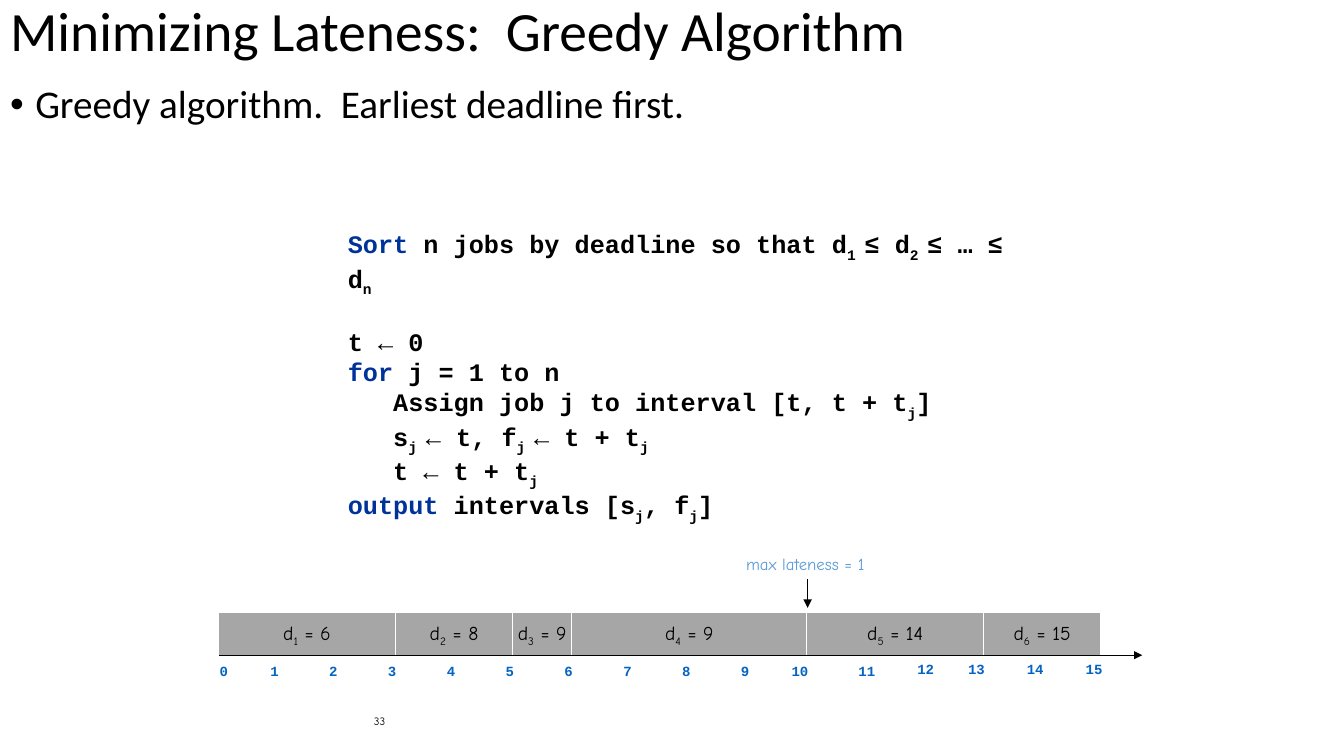
import dataclasses

import pptx
import pptx.dml.color
import pptx.enum.shapes
import pptx.enum.text
import pptx.oxml
import pptx.oxml.ns
import pptx.util

Inches = pptx.util.Inches
Align = pptx.enum.text.PP_ALIGN
Anchor = pptx.enum.text.MSO_ANCHOR
DRAWING = pptx.oxml.ns.nsdecls("a")


@dataclasses.dataclass(frozen=True)
class Theme:
    black: str = "000000"
    white: str = "FFFFFF"
    job: str = "A6A6A6"
    tick: str = "0563C1"
    note: str = "5B9BD5"
    keyword: str = "003399"
    heading_font: str = "Calibri"
    label_font: str = "Comic Neue"
    code_font: str = "Courier New"
    title_size: float = 39.6
    body_size: float = 28
    code_size: float = 18
    job_size: float = 14
    note_size: float = 12
    tick_size: float = 10
    number_size: float = 8
    line_width: float = 0.75


class SlideBuilder:
    def __init__(self, slide, theme):
        self.slide = slide
        self.theme = theme

    def color(self, value):
        return pptx.dml.color.RGBColor.from_string(value)

    def place(self, shape, box):
        for name, value in zip(("left", "top", "width", "height"), box):
            setattr(shape, name, Inches(value))

    def frame(self, shape, anchor=Anchor.TOP, wrap=True, margins=(0.1, 0.05, 0.1, 0.05)):
        text_frame = shape.text_frame
        settings = {"word_wrap": wrap, "vertical_anchor": anchor,
                    "auto_size": pptx.enum.text.MSO_AUTO_SIZE.NONE}
        for side, value in zip(("left", "top", "right", "bottom"), margins):
            settings["margin_" + side] = Inches(value)
        for name, value in settings.items():
            setattr(text_frame, name, value)
        return text_frame

    def run(self, paragraph, text, font, size, color, bold=False, subscript=False):
        run = paragraph.add_run()
        run.text = text
        for name, value in {"name": font, "size": pptx.util.Pt(size), "bold": bold}.items():
            setattr(run.font, name, value)
        run.font.color.rgb = self.color(color)
        if subscript:
            run._r.get_or_add_rPr().set("baseline", "-25000")

    def subscripted(self, paragraph, text, *style):
        for index, piece in enumerate(text.split("|")):
            if piece:
                self.run(paragraph, piece, *style, subscript=index % 2 == 1)

    def placeholder(self, index, box, text, size, anchor, bullet=False):
        shape = self.slide.placeholders[index]
        self.place(shape, box)
        paragraph = self.frame(shape, anchor).paragraphs[0]
        if bullet:
            properties = paragraph._p.get_or_add_pPr()
            properties.set("marL", str(Inches(0.25)))
            properties.set("indent", str(Inches(-0.25)))
            properties.append(pptx.oxml.parse_xml(f'<a:buChar {DRAWING} char="•"/>'))
        settings = {"alignment": Align.LEFT, "line_spacing": 0.9,
                    "space_before": pptx.util.Pt(0)}
        for name, value in settings.items():
            setattr(paragraph, name, value)
        self.run(paragraph, text, self.theme.heading_font, size, self.theme.black)

    def label(self, box, text, font, size, color, bold=False, alignment=Align.LEFT, **layout):
        shape = self.slide.shapes.add_textbox(*map(Inches, box))
        paragraph = self.frame(shape, **layout).paragraphs[0]
        paragraph.alignment = alignment
        self.run(paragraph, text, font, size, color, bold)

    def rectangle(self, box, fill, outline=None):
        shape = self.slide.shapes.add_shape(
            pptx.enum.shapes.MSO_SHAPE.RECTANGLE, *map(Inches, box))
        shape.shadow.inherit = False
        shape.fill.solid()
        shape.fill.fore_color.rgb = self.color(fill)
        if outline:
            shape.line.color.rgb = self.color(outline)
            shape.line.width = pptx.util.Pt(self.theme.line_width)
        else:
            shape.line.fill.background()
        return shape

    def job(self, box, text):
        theme = self.theme
        shape = self.rectangle(box, theme.job, theme.white)
        paragraph = self.frame(shape, Anchor.MIDDLE, wrap=False).paragraphs[0]
        paragraph.alignment = Align.CENTER
        self.subscripted(paragraph, text, theme.label_font, theme.job_size, theme.black)

    def code(self, box, lines):
        theme = self.theme
        shape = self.rectangle(box, theme.white)
        text_frame = self.frame(shape, margins=(0.2, 0.1, 0.15, 0.1))
        style = (theme.code_font, theme.code_size)
        for index, (keyword, text, gap) in enumerate(lines):
            paragraph = text_frame.add_paragraph() if index else text_frame.paragraphs[0]
            paragraph.alignment = Align.LEFT
            paragraph.space_before = pptx.util.Pt(gap)
            if keyword:
                self.run(paragraph, keyword, *style, theme.keyword, True)
            self.subscripted(paragraph, text, *style, theme.black, True)

    def arrow(self, *ends):
        connector = self.slide.shapes.add_connector(
            pptx.enum.shapes.MSO_CONNECTOR.STRAIGHT, *map(Inches, ends))
        connector.line.color.rgb = self.color(self.theme.black)
        connector.line.width = pptx.util.Pt(self.theme.line_width)
        connector.line._get_or_add_ln().append(
            pptx.oxml.parse_xml(f'<a:tailEnd {DRAWING} type="triangle"/>'))
        connector._element.spPr.append(pptx.oxml.parse_xml(f"<a:effectLst {DRAWING}/>"))


CODE_LINES = [
    ("Sort", " n jobs by deadline so that d|1 |≤ d|2 |≤ … ≤ d|n|", 0),
    ("", "t ← 0", 20.4),
    ("for", " j = 1 to n", 0),
    ("", "   Assign job j to interval [t, t + t|j|]", 0),
    ("", "   s|j |← t, f|j |← t + t|j|", 0),
    ("", "   t ← t + t|j|", 0),
    ("output", " intervals [s|j|, f|j|]", 0),
]
JOBS = [(3, 6), (2, 8), (1, 9), (4, 9), (3, 14), (2, 15)]
AXIS_LEFT, AXIS_TOP, TIME_UNIT = 2.17, 6.5, 7 / 12
JOB_HEIGHT = 0.42
TICK_SHIFTS = {0: 0.08, 10: -0.08, 13: -0.08, 14: -0.08, 15: -0.08}


def main():
    presentation = pptx.Presentation()
    presentation.slide_width = Inches(13.33)
    presentation.slide_height = Inches(7.5)
    theme = Theme()
    builder = SlideBuilder(
        presentation.slides.add_slide(presentation.slide_layouts[1]), theme)

    builder.placeholder(0, (0, 0.06, 11.5, 0.54), "Minimizing Lateness:  Greedy Algorithm",
                        theme.title_size, Anchor.MIDDLE)
    builder.placeholder(1, (0, 0.79, 13.33, 6.63), "Greedy algorithm.  Earliest deadline first.",
                        theme.body_size, Anchor.TOP, bullet=True)
    builder.code((3.25, 2.17, 6.92, 2.93), CODE_LINES)

    start = 0
    for number, (duration, deadline) in enumerate(JOBS, 1):
        box = (AXIS_LEFT + start * TIME_UNIT, AXIS_TOP - JOB_HEIGHT,
               duration * TIME_UNIT, JOB_HEIGHT)
        builder.job(box, f"d|{number}| = {deadline}")
        start += duration

    for time in range(start + 1):
        left = AXIS_LEFT - 0.17 + time * TIME_UNIT + TICK_SHIFTS.get(time, 0)
        top = AXIS_TOP + (0.02 if time < 12 else 0)
        builder.label((left, top, 0.5, 0.27), str(time),
                      theme.code_font, theme.tick_size, theme.tick, bold=True)

    builder.arrow(AXIS_LEFT, AXIS_TOP, 11.33, AXIS_TOP)
    builder.arrow(8.01, 5.74, 8.01, 6.03)
    builder.label((7.4, 5.49, 1.26, 0.2), "max lateness = 1", theme.label_font,
                  theme.note_size, theme.note, wrap=False, margins=(0, 0, 0, 0))
    builder.label((0.92, 6.95, 3, 0.4), "33", theme.label_font, theme.number_size,
                  theme.black, alignment=Align.RIGHT, anchor=Anchor.MIDDLE)
    presentation.save("out.pptx")


if __name__ == "__main__":
    main()
